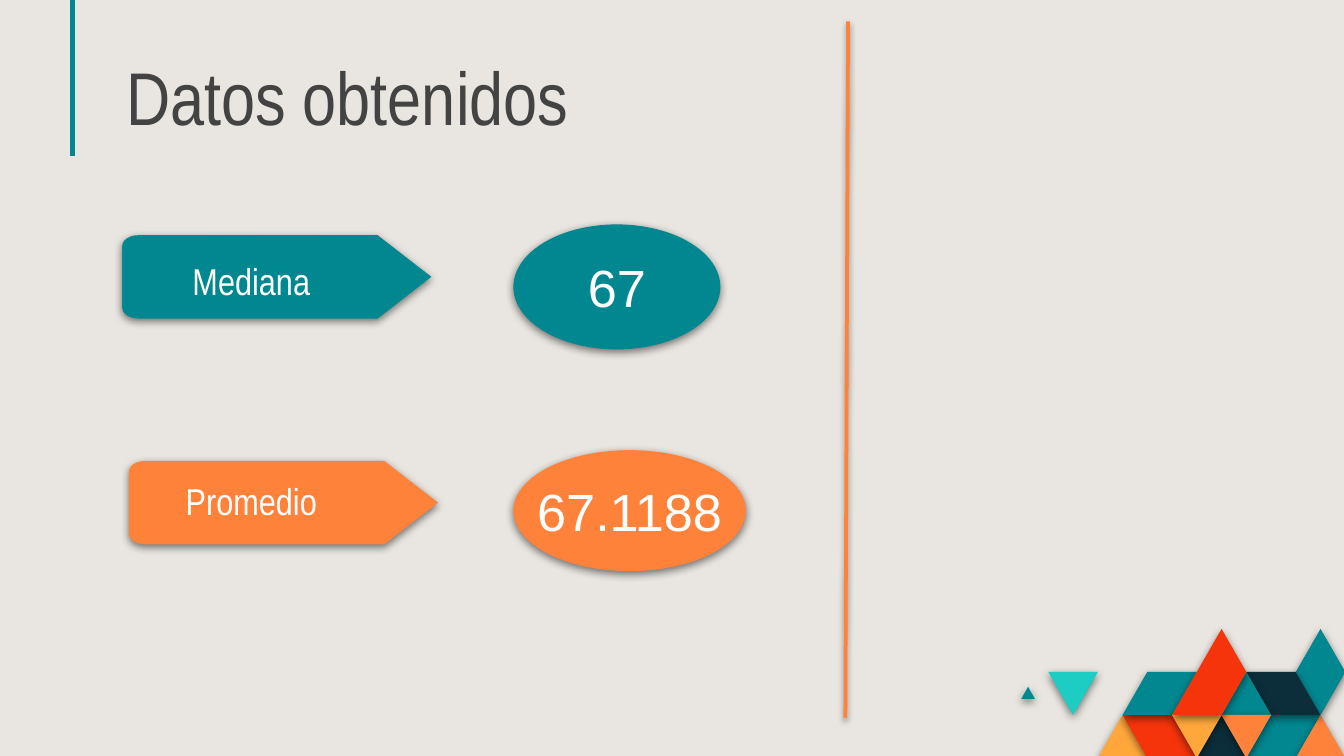
import math

from lxml import etree
from pptx import Presentation
from pptx.dml.color import RGBColor
from pptx.enum.shapes import MSO_CONNECTOR, MSO_SHAPE
from pptx.enum.text import MSO_ANCHOR, PP_ALIGN
from pptx.oxml.ns import qn
from pptx.util import Inches, Pt

LINE, OVAL = MSO_CONNECTOR.STRAIGHT, MSO_SHAPE.OVAL
LEFT, CENTER = PP_ALIGN.LEFT, PP_ALIGN.CENTER
TOP, MIDDLE, BOTTOM = MSO_ANCHOR.TOP, MSO_ANCHOR.MIDDLE, MSO_ANCHOR.BOTTOM

BACKGROUND, WHITE, GRAY = "E9E6E1", "FFFFFF", "434343"
TEAL, TURQUOISE, NAVY = "018790", "1DCDC3", "0C2E3A"
ORANGE, AMBER, RED = "FF823B", "FFA73B", "F5340B"

TITLE = "Datos obtenidos"

# label, value, color, tag (left, top), label top, oval (left, top, width, height)
STATISTICS = [
    ("Promedio", "67.1188", ORANGE, (0.96, 3.43), 3.46, (3.82, 3.35, 1.73, 0.9)),
    ("Mediana", "67", TEAL, (0.91, 1.75), 1.82, (3.82, 1.67, 1.54, 0.93)),
]
TAG_WIDTH, TAG_HEIGHT, TAG_POINT = 2.3, 0.62, 0.4
CORNER_WIDTH, CORNER_HEIGHT = 0.12, 0.08

# Mosaic tiles as (column, row) corners on a triangular grid, back to front
GRID_LEFT, GRID_TOP = 7.8, 4.68
COLUMN_STEP, ROW_STEP = 2.21 / 12, 0.32
TILES = [
    (AMBER, [(2, 3), (3, 2), (4, 3)]),
    (RED, [(3, 2), (5, 2), (6, 3), (4, 3)]),
    (TEAL, [(8, 3), (9, 2), (11, 2), (10, 3)]),
    (ORANGE, [(10, 3), (11, 2), (12, 3)]),
    (NAVY, [(6, 3), (7, 2), (8, 3)]),
    (TEAL, [(3, 2), (4, 1), (6, 1), (5, 2)]),
    (TURQUOISE, [(0, 1), (2, 1), (1, 2)]),
    (TEAL, [(10, 1), (11, 0), (12, 1), (11, 2)]),
    (NAVY, [(8, 1), (10, 1), (11, 2), (9, 2)]),
    (TEAL, [(7, 2), (8, 1), (9, 2)]),
    (ORANGE, [(7, 2), (9, 2), (8, 3)]),
    (AMBER, [(5, 2), (7, 2), (6, 3)]),
    (RED, [(5, 2), (7, 0), (8, 1), (7, 2)]),
]
SMALL_TRIANGLE = [(7.6, 5.2), (7.65, 5.11), (7.7, 5.2)]


def color(hex_string):
    return RGBColor.from_string(hex_string)


def add_shadow(properties, opacity, blur, distance):
    """Give shape properties a black shadow that falls straight down, or none at opacity 0."""
    effects = properties.find(qn("a:effectLst"))
    if effects is None:
        effects = etree.SubElement(properties, qn("a:effectLst"))
    if opacity:
        shadow = etree.SubElement(
            effects, qn("a:outerShdw"), blurRad=str(Pt(blur)), dist=str(Pt(distance)),
            dir="5400000", algn="bl", rotWithShape="0")
        black = etree.SubElement(shadow, qn("a:srgbClr"), val="000000")
        etree.SubElement(black, qn("a:alpha"), val=str(opacity * 1000))


def style_shape(shape, fill):
    shape.fill.solid()
    shape.fill.fore_color.rgb = color(fill)
    shape.line.fill.background()
    shape.shadow.inherit = False
    add_shadow(shape._element.spPr, 50, 4.5, 1.5)


def add_polygon(slide, points, fill):
    start, *others = [(Inches(x), Inches(y)) for x, y in points]
    builder = slide.shapes.build_freeform(*start)
    builder.add_line_segments(others, close=True)
    style_shape(builder.convert_to_shape(), fill)


def add_line(slide, start, end, line_color, width, opacity=0):
    line = slide.shapes.add_connector(LINE, *map(Inches, start + end))
    line.line.color.rgb = color(line_color)
    line.line.width = Pt(width)
    add_shadow(line._element.spPr, opacity, 3.1, 1.6)


def write(shape, text, font, size, text_color, align, anchor, spacing=1.0, wrap=True):
    frame = shape.text_frame
    frame.word_wrap = wrap
    frame.vertical_anchor = anchor
    frame.margin_left = frame.margin_right = Inches(0.1)
    frame.margin_top = frame.margin_bottom = Inches(0.1)
    paragraph = frame.paragraphs[0]
    paragraph.alignment = align
    paragraph.line_spacing = spacing
    run = paragraph.add_run()
    run.text = text
    run.font.name = font
    run.font.size = Pt(size)
    run.font.color.rgb = color(text_color)


def tag_points(left, top):
    """Outline of a tag: rounded corners at the left, a point at the right."""
    right, bottom = left + TAG_WIDTH, top + TAG_HEIGHT
    shoulder = right - TAG_POINT
    points = [(shoulder, top), (right, top + TAG_HEIGHT / 2), (shoulder, bottom)]
    for center_y, first_angle in ((bottom - CORNER_HEIGHT, 90), (top + CORNER_HEIGHT, 180)):
        for angle in range(first_angle, first_angle + 91, 15):
            points.append((
                left + CORNER_WIDTH * (1 + math.cos(math.radians(angle))),
                center_y + CORNER_HEIGHT * math.sin(math.radians(angle))))
    return points


def main():
    presentation = Presentation()
    presentation.slide_width = Inches(10)
    presentation.slide_height = presentation.slide_width * 9 // 16
    slide = presentation.slides.add_slide(presentation.slide_layouts[6])
    slide.background.fill.solid()
    slide.background.fill.fore_color.rgb = color(BACKGROUND)

    add_line(slide, (0.54, -0.07), (0.54, 1.16), TEAL, 2.25)
    add_polygon(slide, SMALL_TRIANGLE, TEAL)
    for fill, corners in TILES:
        points = [(GRID_LEFT + column * COLUMN_STEP, GRID_TOP + row * ROW_STEP)
                  for column, row in corners]
        add_polygon(slide, points, fill)

    title = slide.shapes.add_textbox(*map(Inches, (0.84, 0.51, 4.16, 0.63)))
    write(title, TITLE, "Arial Narrow", 40, GRAY, LEFT, BOTTOM, spacing=0.8)

    for label, value, fill, tag_corner, label_top, oval_box in STATISTICS:
        add_polygon(slide, tag_points(*tag_corner), fill)
        caption = slide.shapes.add_textbox(*map(Inches, (0.91, label_top, 1.92, 0.43)))
        write(caption, label, "Arial Narrow", 20, WHITE, CENTER, TOP)
        oval = slide.shapes.add_shape(OVAL, *map(Inches, oval_box))
        style_shape(oval, fill)
        write(oval, value, "Arial", 28, WHITE, CENTER, MIDDLE, wrap=False)

    add_line(slide, (6.31, 0.16), (6.29, 5.34), ORANGE, 2, opacity=38)
    presentation.save("out.pptx")


if __name__ == "__main__":
    main()
